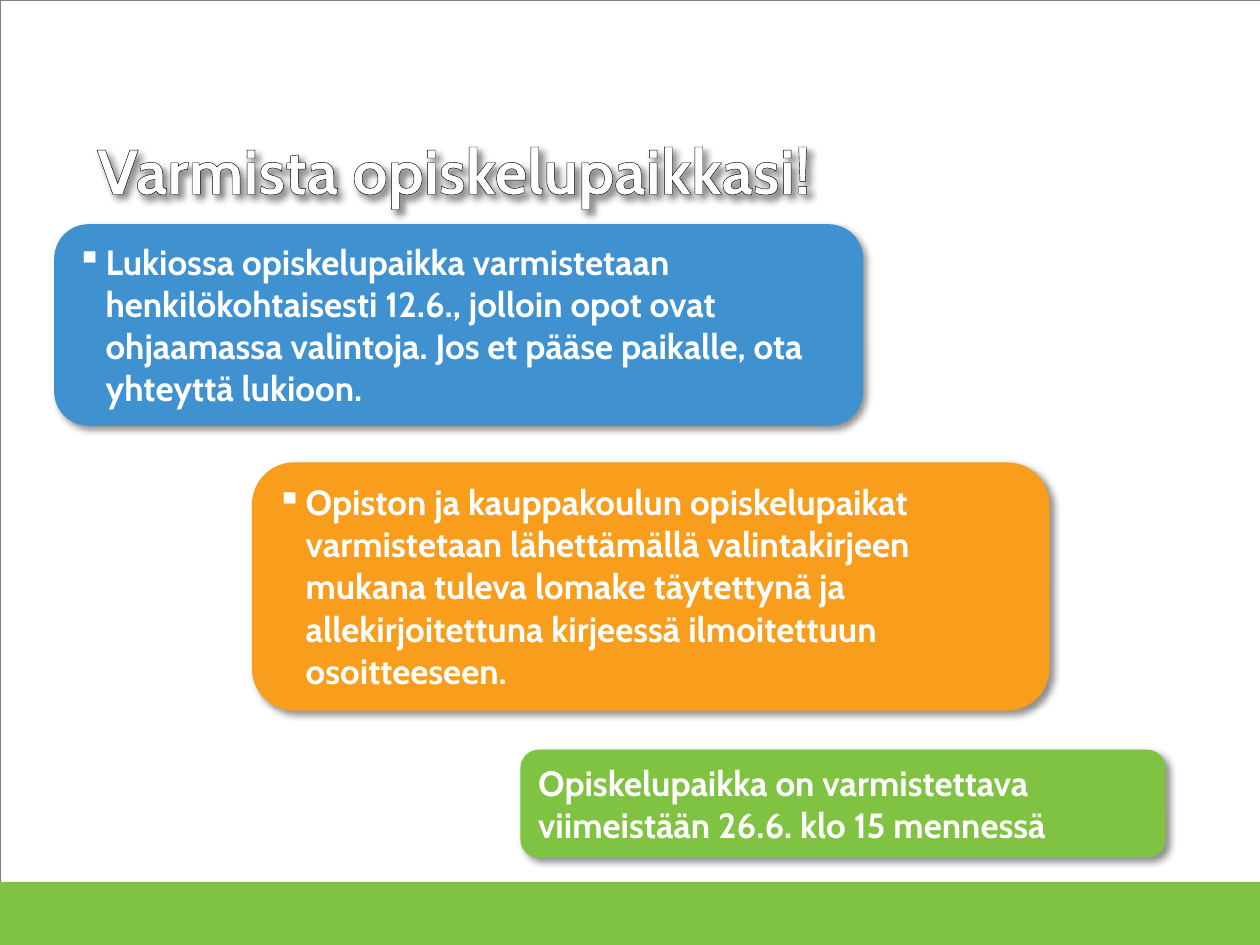
"""Build a slide on confirming a study place, with three staggered callouts."""
from lxml import etree
from pptx import Presentation
from pptx import util as u
from pptx.dml.color import RGBColor
from pptx.enum import shapes, text
from pptx.oxml import ns

COLORS = {"white": "FFFFFF", "black": "000000", "frame": "808080",
          "blue": "3F92CF", "orange": "F99D1C", "green": "80C342"}
CALLOUTS = [
    ("blue", (0.43, 1.78, 6.42, 1.6), True,
     "Lukiossa opiskelupaikka varmistetaan henkilökohtaisesti 12.6., jolloin opot ovat "
     "ohjaamassa valintoja. Jos et pääse paikalle, ota yhteyttä lukioon."),
    ("orange", (2, 3.67, 6.33, 1.97), True,
     "Opiston ja kauppakoulun opiskelupaikat varmistetaan lähettämällä valintakirjeen mukana "
     "tuleva lomake täytettynä ja allekirjoitettuna kirjeessä ilmoitettuun osoitteeseen."),
    ("green", (4.13, 5.95, 5.12, 0.86), False,
     "Opiskelupaikka on varmistettava viimeistään 26.6. klo 15 mennessä"),
]


def add_shadow(shape):
    """Give the shape a soft shadow towards the lower right."""
    shape.shadow.inherit = False
    effects = shape._element.spPr.find(ns.qn("a:effectLst"))
    outer = etree.SubElement(effects, ns.qn("a:outerShdw"), blurRad=str(u.Pt(4)),
                             dist=str(u.Pt(3)), dir="2700000", algn="tl", rotWithShape="0")
    color = etree.SubElement(outer, ns.qn("a:srgbClr"), val=COLORS["black"])
    etree.SubElement(color, ns.qn("a:alpha"), val="43000")


def add_span(para, words, size):
    """Add a bold white run to the paragraph."""
    span = para.add_run()
    span.text = words
    span.font.name = "Cabin"
    span.font.size = u.Pt(size)
    span.font.bold = True
    span.font.color.rgb = RGBColor.from_string(COLORS["white"])
    return span


deck = Presentation()
deck.slide_width, deck.slide_height = u.Inches(10), u.Inches(7.5)
page = deck.slides.add_slide(deck.slide_layouts[5])

frame = page.shapes.add_shape(shapes.MSO_SHAPE.RECTANGLE, 0, 0, u.Inches(10), u.Inches(7.5))
frame.shadow.inherit = False
frame.fill.background()
frame.line.color.rgb = RGBColor.from_string(COLORS["frame"])
frame.line.width = u.Pt(0.25)

footer = page.shapes.add_shape(shapes.MSO_SHAPE.RECTANGLE, 0, u.Inches(7),
                               u.Inches(10.03), u.Inches(0.5))
footer.shadow.inherit = False
footer.fill.solid()
footer.fill.fore_color.rgb = RGBColor.from_string(COLORS["green"])
footer.line.fill.background()

title = page.shapes.title
title.left, title.top = u.Inches(0.67), u.Inches(0.75)
title.width, title.height = u.Inches(9.33), u.Inches(1.26)
title.text_frame.vertical_anchor = text.MSO_ANCHOR.MIDDLE
add_shadow(title)
heading = title.text_frame.paragraphs[0]
heading.alignment = text.PP_ALIGN.LEFT
heading.line_spacing = 0.9
span = add_span(heading, "Varmista opiskelupaikkasi!", 36)
outline = etree.Element(ns.qn("a:ln"), w=str(u.Pt(0.25)))
ink = etree.SubElement(outline, ns.qn("a:solidFill"))
etree.SubElement(ink, ns.qn("a:srgbClr"), val=COLORS["black"])
span.font._element.insert(0, outline)

for color, place, bulleted, words in CALLOUTS:
    box = page.shapes.add_shape(shapes.MSO_SHAPE.ROUNDED_RECTANGULAR_CALLOUT,
                                *[u.Inches(length) for length in place])
    for index, value in enumerate((-0.21, 0.5, 0.17)):
        box.adjustments[index] = value
    box.fill.solid()
    box.fill.fore_color.rgb = RGBColor.from_string(COLORS[color])
    box.line.fill.background()
    add_shadow(box)
    box.text_frame.word_wrap = True
    box.text_frame.vertical_anchor = text.MSO_ANCHOR.TOP
    para = box.text_frame.paragraphs[0]
    para.alignment = text.PP_ALIGN.LEFT
    if bulleted:
        settings = para._p.get_or_add_pPr()
        settings.set("marL", str(u.Inches(0.23)))
        settings.set("indent", str(-u.Inches(0.23)))
        etree.SubElement(settings, ns.qn("a:buChar"), char="▪")
    add_span(para, words, 20)

deck.save("out.pptx")
